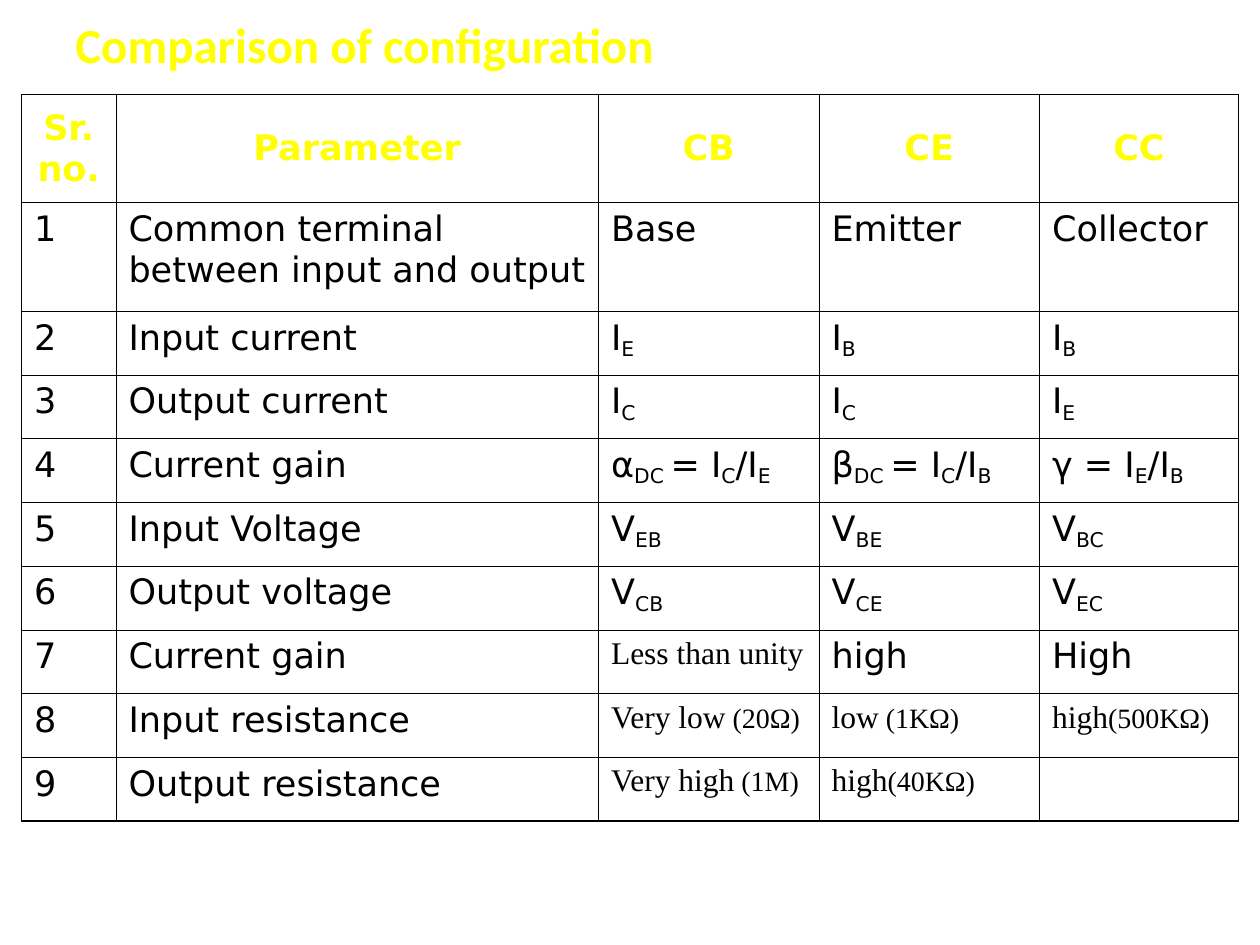
from lxml import etree
from pptx import Presentation
from pptx import util as u
from pptx.dml.color import RGBColor
from pptx.enum import text
from pptx.oxml.ns import qn

YELLOW, BLACK = "FFFF00", "000000"
SANS, SERIF = "DejaVu Sans", "Times New Roman"


def style(font, name, size, color, bold=False):
    font.name, font.size, font.bold = name, u.Pt(size), bold
    font.color.rgb = RGBColor.from_string(color)


def border(cell, side, width):
    """Draw one cell edge; sides must be added in the order L, R, T, B."""
    ln = etree.SubElement(cell._tc.get_or_add_tcPr(), qn(f"a:ln{side}"), w=str(u.Pt(width)))
    fill = etree.SubElement(ln, qn("a:solidFill"))
    etree.SubElement(fill, qn("a:srgbClr"), val=BLACK)


prs = Presentation()
prs.slide_width, prs.slide_height = u.Inches(10), u.Inches(7.5)
s = prs.slides.add_slide(prs.slide_layouts[6])

tf = s.shapes.add_textbox(u.Inches(0.5), u.Inches(0.08), u.Inches(9), u.Inches(0.53)).text_frame
tf.word_wrap = True
tf.vertical_anchor = text.MSO_ANCHOR.MIDDLE
p = tf.paragraphs[0]
p.text = "Comparison of configuration"
style(p.font, "Calibri", 28, YELLOW, True)

# Text between underscores is subscript; a tuple holds serif text and its smaller value.
header = ["Sr.no.", "Parameter", "CB", "CE", "CC"]
parameters = [
    ["Common terminal between input and output", "Base", "Emitter", "Collector"],
    ["Input current", "I_E_", "I_B_", "I_B_"],
    ["Output current", "I_C_", "I_C_", "I_E_"],
    ["Current gain", "α_DC _= I_C_/I_E_", "β_DC _= I_C_/I_B_", "γ = I_E_/I_B_"],
    ["Input Voltage", "V_EB_", "V_BE_", "V_BC_"],
    ["Output voltage", "V_CB_", "V_CE_", "V_EC_"],
    ["Current gain", ("Less than unity",), "high", "High"],
    ["Input resistance", ("Very low", " (20Ω)"), ("low", " (1KΩ)"), ("high", "(500KΩ)")],
    ["Output resistance", ("Very high", " (1M)"), ("high", "(40KΩ)"), ""],
]
rows = [header] + [[str(n), *row] for n, row in enumerate(parameters, 1)]
widths = [0.75, 3.83, 1.75, 1.75, 1.58]
height, tall = 5.77, 0.86
short = (height - 2 * tall) / (len(rows) - 2)

table = s.shapes.add_table(len(rows), len(widths), u.Inches(0.17), u.Inches(0.75),
                           u.Inches(sum(widths)), u.Inches(height)).table
table.first_row = table.horz_banding = False
for col, width in zip(table.columns, widths):
    col.width = u.Inches(width)

for i, row in enumerate(rows):
    table.rows[i].height = u.Inches(tall if i < 2 else short)
    for j, content in enumerate(row):
        cell = table.cell(i, j)
        outer = {"L": j == 0, "R": j == len(widths) - 1, "T": i == 0, "B": i == len(rows) - 1}
        for side, is_outer in outer.items():
            border(cell, side, 1.08 if is_outer else 0.45)
        cell.fill.background()
        p = cell.text_frame.paragraphs[0]
        if isinstance(content, tuple):
            p.space_before = u.Pt(4 if len(content) > 1 else 4.5)
            style(p.font, SERIF, 18, BLACK)
            for part, size in zip(content, (18, 16)):
                r = p.add_run()
                r.text = part
                r.font.size = u.Pt(size)
            continue
        p.space_before = u.Pt(5)
        style(p.font, SANS, 20, BLACK if i else YELLOW, i == 0)
        if i == 0:
            p.alignment = text.PP_ALIGN.CENTER
            cell.vertical_anchor = text.MSO_ANCHOR.MIDDLE
        for k, part in enumerate(content.split("_")):
            if part:
                r = p.add_run()
                r.text = part
                if k % 2:
                    r.font._element.set("baseline", "-18000")

prs.save("out.pptx")
